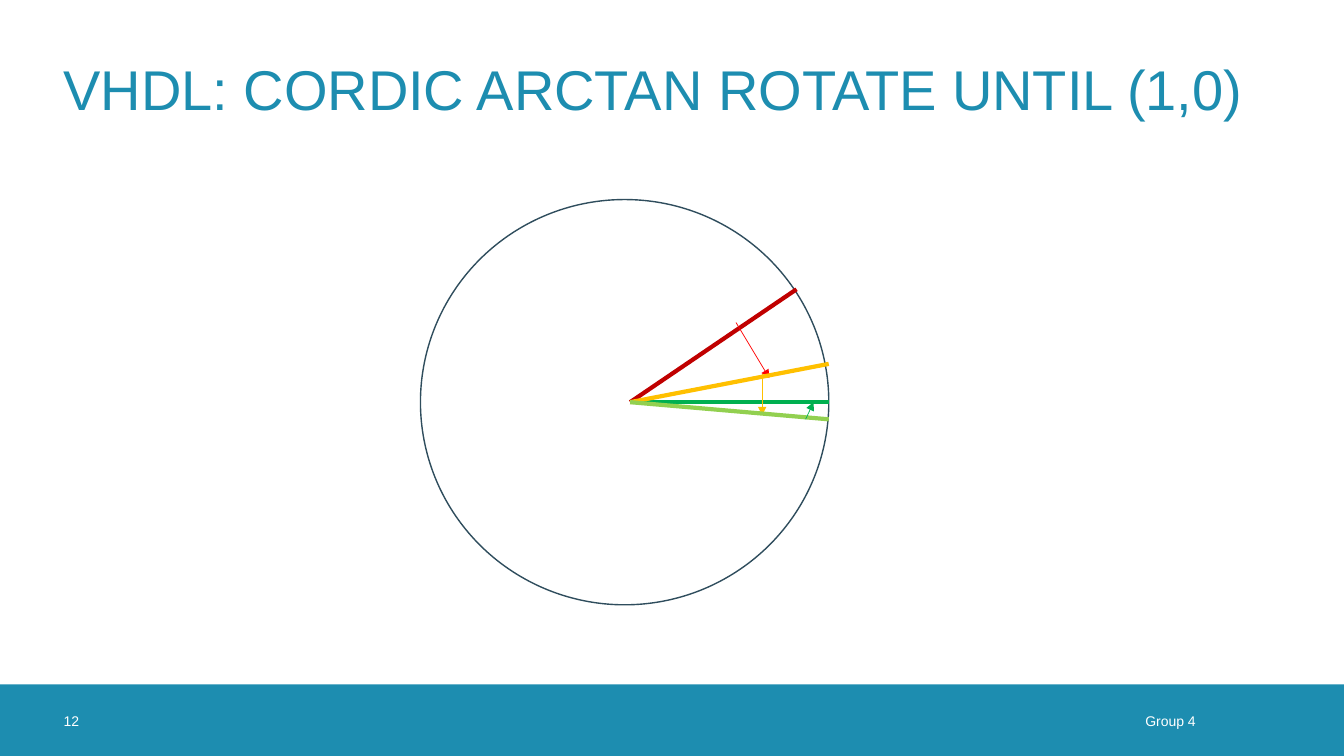
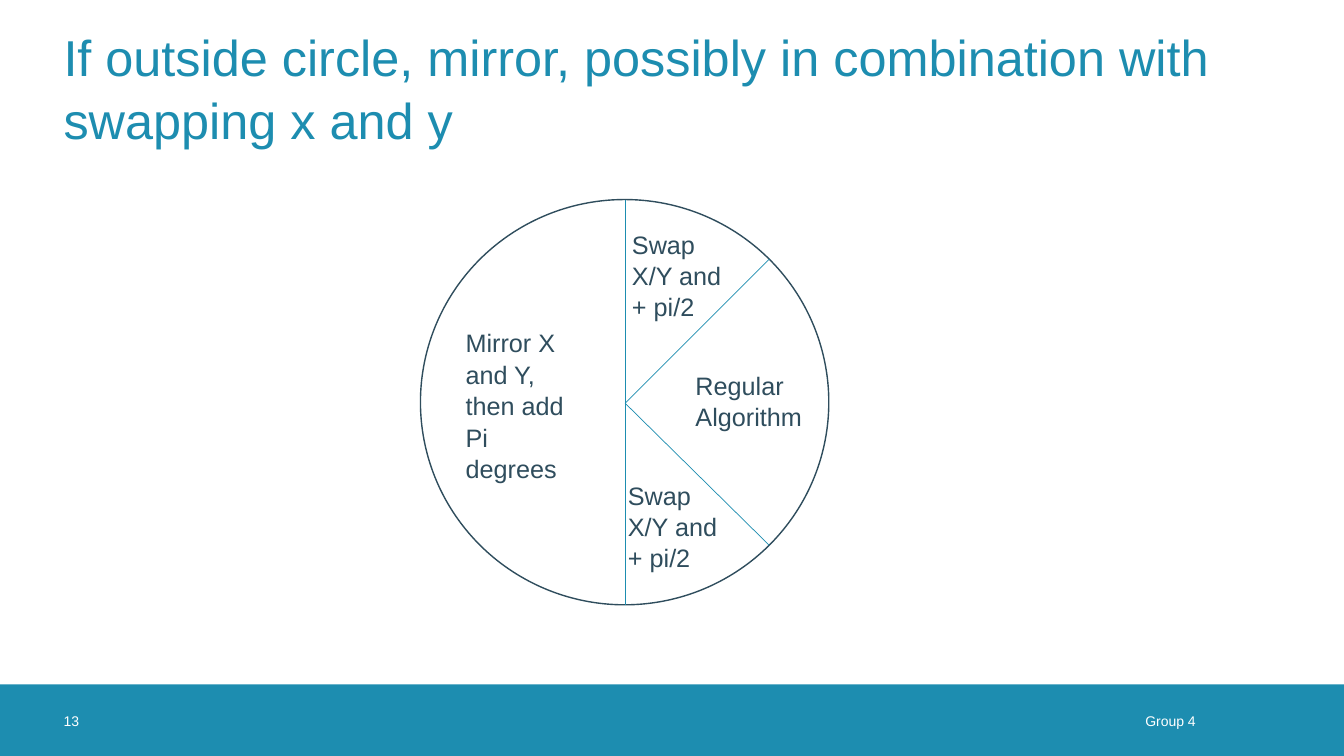
from dataclasses import dataclass

from lxml import etree
from pptx import Presentation
from pptx.dml.color import RGBColor
from pptx.enum.shapes import MSO_CONNECTOR, MSO_SHAPE
from pptx.enum.text import MSO_ANCHOR, MSO_AUTO_SIZE, PP_ALIGN
from pptx.oxml.ns import qn
from pptx.util import Emu, Pt

PX = 9144  # EMU per px, 100 px to the inch
WIDTH, HEIGHT = 1333, 750


@dataclass(frozen=True)
class Theme:
    font: str = "Arial"
    accent: str = "1D8DB0"
    ink: str = "2F4D5D"
    white: str = "FFFFFF"
    dark_red: str = "C00000"
    red: str = "FF0000"
    amber: str = "FFC000"
    lime: str = "92D050"
    green: str = "00B050"
    title_size: int = 40
    long_title_size: int = 36
    label_size: int = 18
    footer_size: int = 10
    spacing: float = 1.04
    thin: float = 0.5
    outline: float = 1
    thick: float = 3


T = Theme()


def px(*lengths):
    return [Emu(n * PX) for n in lengths]


class Deck:
    def __init__(self):
        self.prs = Presentation()
        self.prs.slide_width, self.prs.slide_height = px(WIDTH, HEIGHT)
        self.s = None

    def slide(self, number, title, size=T.title_size):
        """Start a slide with its footer band and title."""
        self.s = self.prs.slides.add_slide(self.prs.slide_layouts[5])
        self.shape(MSO_SHAPE.RECTANGLE, (0, 679, WIDTH, 71), fill=T.accent)
        footer = dict(size=T.footer_size, color=T.white, anchor=MSO_ANCHOR.MIDDLE)
        self.text("Group 4", (660, 679, 546, 71), insets=(0, 0, 20, 0),
                  align=PP_ALIGN.RIGHT, **footer)
        self.text(str(number), (63, 679, 71, 71), insets=(0, 0, 0, 0), **footer)

        sp = self.s.shapes.title
        sp.left, sp.top, sp.width, sp.height = px(63, 23, 1207, 126)
        self.set_text(sp, title, size, T.accent, (0, 0, 0, 0), MSO_ANCHOR.MIDDLE)

    def set_text(self, sp, text, size, color, insets, anchor,
                 align=PP_ALIGN.LEFT, auto_size=MSO_AUTO_SIZE.NONE):
        tf = sp.text_frame
        tf.text = text
        tf.word_wrap = True
        tf.auto_size = auto_size
        tf.vertical_anchor = anchor
        tf.margin_left, tf.margin_top, tf.margin_right, tf.margin_bottom = px(*insets)
        p = tf.paragraphs[0]
        p.alignment = align
        p.line_spacing = T.spacing
        p.font.name = T.font
        p.font.size = Pt(size)
        p.font.color.rgb = RGBColor.from_string(color)

    def text(self, text, box, size, color, insets, anchor, **options):
        sp = self.s.shapes.add_textbox(*px(*box))
        self.set_text(sp, text, size, color, insets, anchor, **options)

    def label(self, text, box):
        self.text(text, box, T.label_size, T.ink, (10, 5, 10, 5), MSO_ANCHOR.TOP,
                  auto_size=MSO_AUTO_SIZE.SHAPE_TO_FIT_TEXT)

    def shape(self, kind, box, fill=None, line=None):
        sp = self.s.shapes.add_shape(kind, *px(*box))
        sp.shadow.inherit = False
        if fill:
            sp.fill.solid()
            sp.fill.fore_color.rgb = RGBColor.from_string(fill)
        else:
            sp.fill.background()
        if line:
            sp.line.color.rgb = RGBColor.from_string(line)
            sp.line.width = Pt(T.outline)
        else:
            sp.line.fill.background()

    def circle(self, fill=None):
        self.shape(MSO_SHAPE.OVAL, (417, 198, 405, 402), fill, T.ink)

    def line(self, start, end, color, width=T.thin, arrow=False):
        c = self.s.shapes.add_connector(MSO_CONNECTOR.STRAIGHT, *px(*start, *end))
        c.line.color.rgb = RGBColor.from_string(color)
        c.line.width = Pt(width)
        props = c.element.spPr
        if arrow:
            etree.SubElement(props.find(qn("a:ln")), qn("a:tailEnd"), type="triangle")
        etree.SubElement(props, qn("a:effectLst"))


def rotation_slide(deck):
    deck.slide(12, "VHDL: CORDIC ARCTAN ROTATE UNTIL (1,0)")
    deck.circle(T.white)

    # Target axis, then each vector with the rotation that follows it
    origin = (625, 399)
    deck.line(origin, (822, 399), T.green, T.thick)
    steps = [
        ((790, 287), T.dark_red, (730, 320), (763, 375), T.red),
        ((822, 361), T.amber, (756, 371), (756, 412), T.amber),
        ((822, 416), T.lime, (799, 416), (807, 399), T.green),
    ]
    for tip, color, start, end, arrow_color in steps:
        deck.line(origin, tip, color, T.thick)
        deck.line(start, end, arrow_color, arrow=True)


def sector_slide(deck):
    deck.slide(13, "If outside circle, mirror, possibly in combination with "
                   "swapping x and y", T.long_title_size)
    deck.circle()

    # Sector borders
    centre = (620, 400)
    for rim in [(763, 257), (763, 541), (620, 198), (620, 600)]:
        deck.line(centre, rim, T.accent)

    # Sector labels
    swap = "Swap X/Y and + pi/2"
    for text, left, top, height in [
        ("Regular Algorithm", 680, 361, 71),
        ("Mirror X and Y, then add Pi degrees", 452, 319, 162),
        (swap, 617, 221, 101),
        (swap, 613, 470, 101),
    ]:
        deck.label(text, (left, top, 126, height))


def main():
    deck = Deck()
    rotation_slide(deck)
    sector_slide(deck)
    deck.prs.save("out.pptx")


if __name__ == "__main__":
    main()
